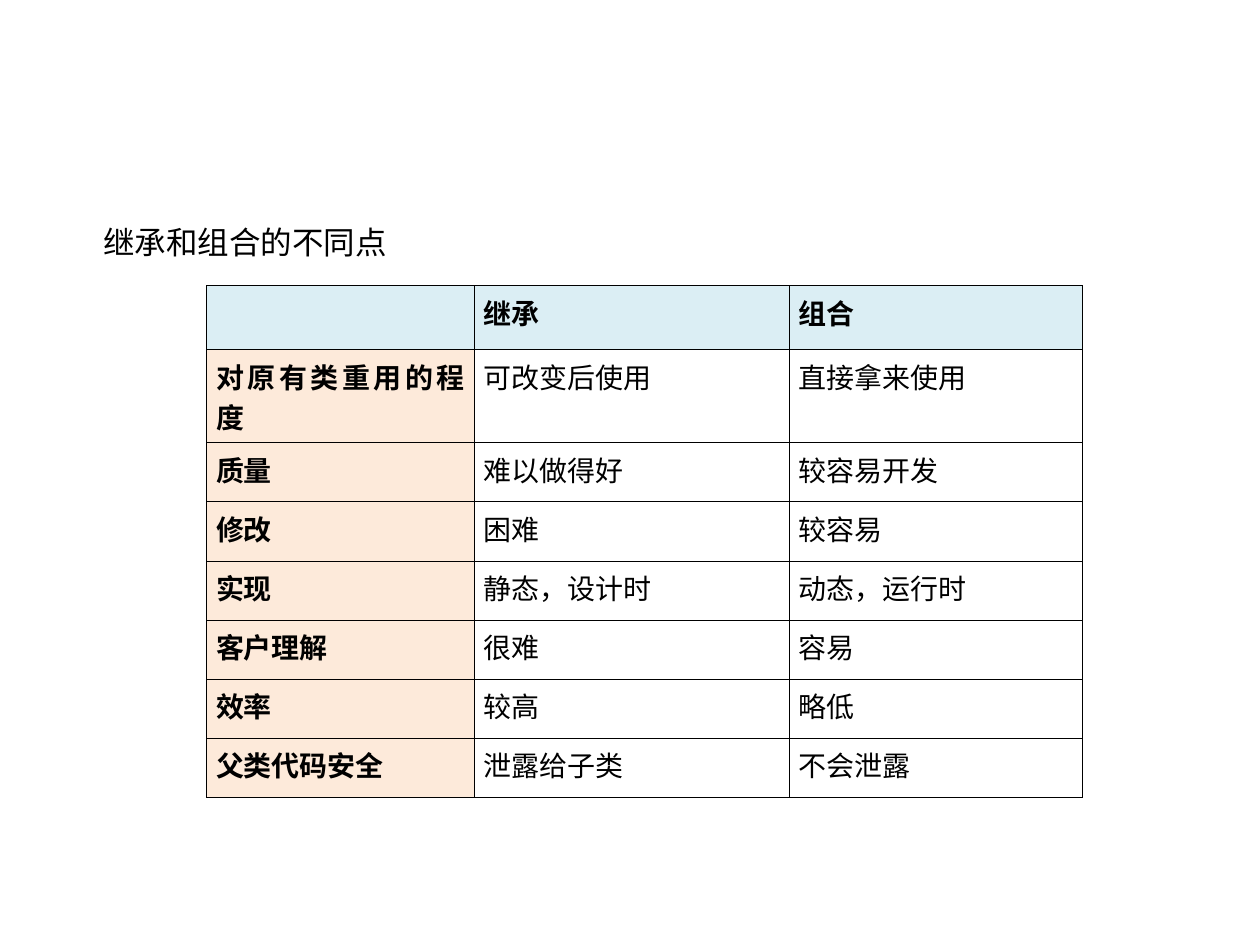
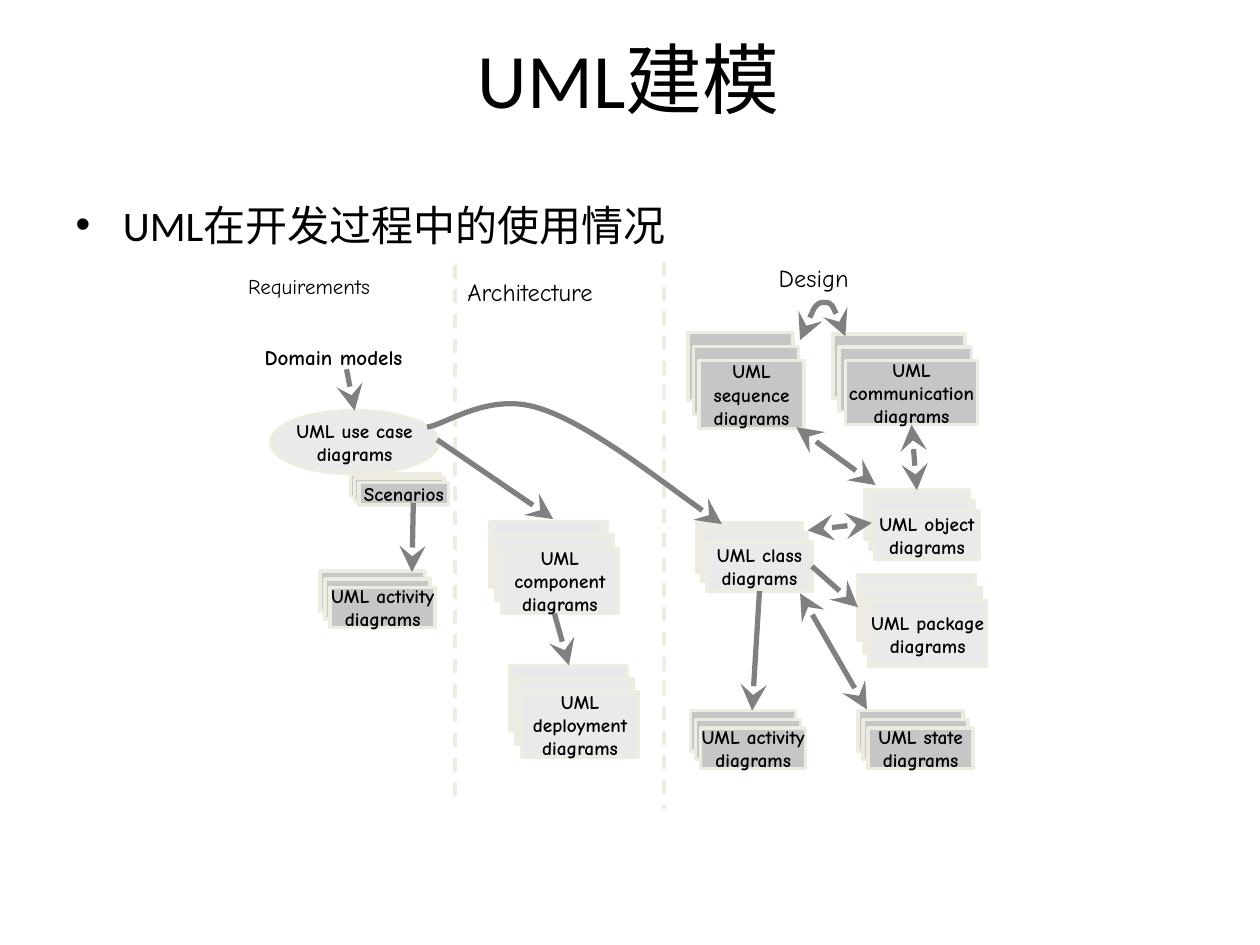
from lxml.etree import SubElement
from pptx import Presentation
from pptx.dml.color import RGBColor
from pptx.enum.dml import MSO_LINE_DASH_STYLE as DASH
from pptx.enum.shapes import MSO_CONNECTOR as CONNECTOR, MSO_SHAPE as SHAPE
from pptx.enum.text import MSO_ANCHOR as ANCHOR, PP_ALIGN as ALIGN
from pptx.oxml.ns import qn
from pptx.util import Pt

COLORS = {
    "text": "000000",
    "header": "DBEEF4",
    "aspect": "FDEADA",
    "light": "EAEAEA",
    "dark": "C6C6C6",
    "outline": "EEECE1",
    "arrow": "808080",
}
RGB = {name: RGBColor.from_string(value) for name, value in COLORS.items()}
BODY_FONT, TABLE_FONT, DIAGRAM_FONT = "Calibri", "Cambria", "Comic Neue"


def write(frame, text, font, size, bold=False, align=None, margin=None):
    """Fill a text frame; a margin also centres the text vertically."""
    frame.text = text
    paragraph = frame.paragraphs[0]
    paragraph.alignment = align
    for run in paragraph.runs:
        run.font.name = font
        run.font.size = Pt(size)
        run.font.bold = bold
        run.font.color.rgb = RGB["text"]
    if margin is not None:
        frame.margin_left = frame.margin_right = Pt(margin)
        frame.margin_top = frame.margin_bottom = Pt(margin)
        frame.vertical_anchor = ANCHOR.MIDDLE


def draw_line(line_shape, color, width, dash=None, ends=()):
    """Style a line or curve, with arrowheads at the named ends."""
    line_shape.line.color.rgb = RGB[color]
    line_shape.line.width = Pt(width)
    if dash:
        line_shape.line.dash_style = dash
    properties = line_shape.element.spPr
    for end in ends:
        SubElement(properties.find(qn("a:ln")), qn(f"a:{end}"),
                   type="stealth", w="lg", len="lg")
    if properties.find(qn("a:effectLst")) is None:
        SubElement(properties, qn("a:effectLst"))


prs = Presentation()
prs.slide_width, prs.slide_height = Pt(720), Pt(540)

# Slide 1: inheritance against composition
comparison = prs.slides.add_slide(prs.slide_layouts[6])
heading = comparison.shapes.add_textbox(Pt(51.8), Pt(123.8), Pt(176.4), Pt(28.8))
heading.text_frame.word_wrap = False
write(heading.text_frame, "继承和组合的不同点", BODY_FONT, 18)

differences = [
    ("", "继承", "组合"),
    ("对原有类重用的程度", "可改变后使用", "直接拿来使用"),
    ("质量", "难以做得好", "较容易开发"),
    ("修改", "困难", "较容易"),
    ("实现", "静态，设计时", "动态，运行时"),
    ("客户理解", "很难", "容易"),
    ("效率", "较高", "略低"),
    ("父类代码安全", "泄露给子类", "不会泄露"),
]
column_widths = [153, 180, 167.5]
row_heights = [36.6, 53.2] + [33.8] * 6
table = comparison.shapes.add_table(
    len(differences), 3, Pt(118.1), Pt(163.2),
    Pt(sum(column_widths)), Pt(sum(row_heights))).table
table.first_row = table.horz_banding = False
for column, width in zip(table.columns, column_widths):
    column.width = Pt(width)
for r, (row, height) in enumerate(zip(differences, row_heights)):
    table.rows[r].height = Pt(height)
    for c, entry in enumerate(row):
        cell = table.cell(r, c)
        cell.margin_left = cell.margin_right = Pt(5.4)
        write(cell.text_frame, entry, TABLE_FONT, 16, r == 0 or c == 0, ALIGN.JUSTIFY)
        cell_properties = cell._tc.get_or_add_tcPr()
        for side in ("lnL", "lnR", "lnT", "lnB"):
            border = SubElement(cell_properties, qn(f"a:{side}"), w=str(Pt(0.45)))
            border_fill = SubElement(border, qn("a:solidFill"))
            SubElement(border_fill, qn("a:srgbClr"), val=COLORS["text"])
        if r and c:
            cell.fill.background()
        else:
            cell.fill.solid()
            cell.fill.fore_color.rgb = RGB["aspect" if r else "header"]

# Slide 2: UML through the development process
modeling = prs.slides.add_slide(prs.slide_layouts[1])
shapes = modeling.shapes
title, body = modeling.placeholders
title.left, title.top, title.width, title.height = Pt(36), Pt(0), Pt(646.6), Pt(88.6)
write(title.text_frame, "UML建模", BODY_FONT, 44, align=ALIGN.CENTER)
title.text_frame.vertical_anchor = ANCHOR.MIDDLE
body.left, body.top, body.width, body.height = Pt(36), Pt(110.2), Pt(646.6), Pt(367.2)
write(body.text_frame, "UML在开发过程中的使用情况", BODY_FONT, 24)
body.text_frame.paragraphs[0].space_before = Pt(6)

for x, top, bottom in [(259.9, 151.2, 460.1), (379.4, 149.8, 462.2)]:
    divider = shapes.add_connector(CONNECTOR.STRAIGHT, Pt(x), Pt(top), Pt(x), Pt(bottom))
    draw_line(divider, "outline", 2, DASH.DASH)

labels = [
    ("Requirements", 141.8, 156.2, 79.2, 14.4, 12, False),
    ("Design", 445, 150.5, 46.1, 16.6, 14, False),
    ("Architecture", 267.1, 158.4, 81.4, 16.6, 14, False),
    ("Domain models", 151.2, 196.6, 93.6, 14.4, 12, True),
]
for text, x, y, width, height, size, bold in labels:
    label = shapes.add_textbox(Pt(x), Pt(y), Pt(width), Pt(height))
    label.text_frame.word_wrap = False
    write(label.text_frame, text, DIAGRAM_FONT, size, bold, margin=0)

# name: text, kind, fill, sheets, left, top, width, height, step right, step down
diagrams = {
    "use case": ("UML use case diagrams", SHAPE.OVAL, "light", 1, 154.8, 234.7, 95.8, 36, 0, 0),
    "scenarios": ("Scenarios", SHAPE.RECTANGLE, "dark", 3, 200.2, 270.7, 51.1, 13, 2.5, 2.5),
    "activity": ("UML activity diagrams", SHAPE.RECTANGLE, "dark", 3, 182.9, 326.2, 60, 23, 2.9, 4.7),
    "state": ("UML state diagrams", SHAPE.RECTANGLE, "dark", 3, 490.3, 406.1, 60, 23, 2.9, 5),
    "class": ("UML class diagrams", SHAPE.RECTANGLE, "light", 3, 398.2, 298.8, 60, 28.1, 2.9, 5.4),
    "object": ("UML object diagrams", SHAPE.RECTANGLE, "light", 3, 493.9, 280.1, 60, 28.1, 2.9, 5.8),
    "sequence": ("UML sequence diagrams", SHAPE.RECTANGLE, "dark", 3, 393.1, 190.1, 60, 38.9, 3.2, 7.9),
    "communication": ("UML communication diagrams", SHAPE.RECTANGLE, "dark", 3,
                      475.9, 190.8, 75.6, 36.7, 3.6, 7.6),
    "package": ("UML package diagrams", SHAPE.RECTANGLE, "light", 3, 490.3, 328.3, 67, 37.4, 3.2, 7.6),
    "component": ("UML component diagrams", SHAPE.RECTANGLE, "light", 3, 280.1, 298.1, 67, 37.4, 3.2, 7.6),
    "deployment": ("UML deployment diagrams", SHAPE.RECTANGLE, "light", 3, 291.6, 380.2, 67, 37.4, 3.2, 7.6),
    "design activity": ("UML activity diagrams", SHAPE.RECTANGLE, "dark", 3, 394.6, 406.1, 60, 23, 2.9, 5),
}
back, front = {}, {}
for name, (text, kind, fill, sheets, x, y, width, height, dx, dy) in diagrams.items():
    for i in range(sheets):
        sheet = shapes.add_shape(kind, Pt(x + i * dx), Pt(y + i * dy), Pt(width), Pt(height))
        sheet.shadow.inherit = False
        sheet.fill.solid()
        sheet.fill.fore_color.rgb = RGB[fill]
        sheet.line.color.rgb = RGB["outline"]
        sheet.line.width = Pt(2)
        back.setdefault(name, sheet)
    front[name] = sheet
    sheet.text_frame.word_wrap = name != "scenarios"
    write(sheet.text_frame, text, DIAGRAM_FONT, 11, True, ALIGN.CENTER, margin=0)

TOP, LEFT, BOTTOM, RIGHT = range(4)
ONE_WAY, TWO_WAY = ("tailEnd",), ("headEnd", "tailEnd")
# begin, end, arrowheads, joined begin, joined end
relations = [
    ((198, 211), (202.3, 234.7), ONE_WAY, None, (front["use case"], TOP)),
    ((249.8, 251.3), (316.1, 296.6), ONE_WAY, None, None),
    ((434.9, 338.4), (429.8, 406.1), ONE_WAY, (front["class"], BOTTOM), None),
    ((500.4, 277.2), (455, 244.1), TWO_WAY, None, None),
    ((236.2, 287.3), (235.4, 326.9), ONE_WAY, None, None),
    ((523.4, 279.4), (521.3, 243.4), TWO_WAY, (back["object"], TOP), (front["communication"], BOTTOM)),
    ((457.2, 339.1), (495.4, 405.4), TWO_WAY, None, None),
    ((464.4, 324), (489.6, 347), ONE_WAY, (front["class"], RIGHT), (back["package"], LEFT)),
    ((498.2, 298.8), (461.5, 303.1), TWO_WAY, None, None),
    ((316.8, 350.6), (324.7, 380.2), ONE_WAY, None, (back["deployment"], TOP)),
]
for begin, end, ends, begin_join, end_join in relations:
    arrow = shapes.add_connector(CONNECTOR.STRAIGHT, *map(Pt, begin + end))
    if begin_join:
        arrow.begin_connect(*begin_join)
    if end_join:
        arrow.end_connect(*end_join)
    draw_line(arrow, "arrow", 3, ends=ends)

# Each curve is a start point followed by triples of Bézier points
curves = [
    ([(457.2, 194.4), (461.5, 183.6), (465.8, 172.8), (470.9, 172.8),
      (475.9, 172.8), (479.5, 182.2), (483.1, 192.2)], TWO_WAY),
    ([(244.1, 244.1), (254.9, 242.6), (279.4, 223.9), (308.2, 233.3),
      (336.2, 241.9), (391, 285.1), (412.6, 299.5)], ONE_WAY),
]
for points, ends in curves:
    start, *others = [(Pt(x), Pt(y)) for x, y in points]
    builder = shapes.build_freeform(*start)
    builder.add_line_segments(others, close=False)
    curve = builder.convert_to_shape()
    outline = curve.element.spPr.find(".//" + qn("a:path"))
    segments = outline.findall(qn("a:lnTo"))
    for i in range(0, len(segments), 3):
        bezier = SubElement(outline, qn("a:cubicBezTo"))
        for segment in segments[i:i + 3]:
            bezier.append(segment[0])
            outline.remove(segment)
    curve.fill.background()
    curve.shadow.inherit = False
    draw_line(curve, "arrow", 3, ends=ends)

prs.save("out.pptx")
